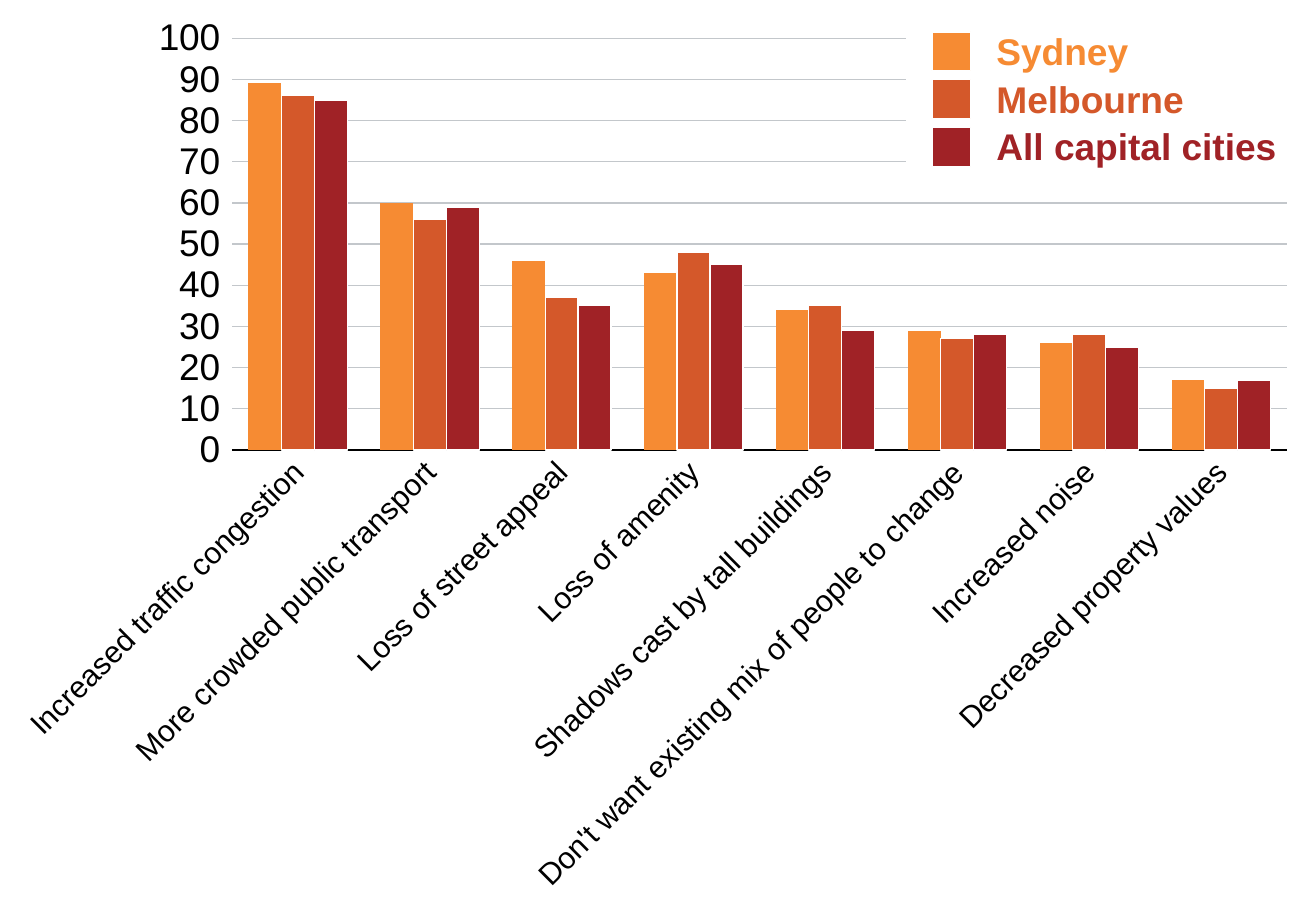
"""Builds a slide with a column chart of residents' concerns in three groups of cities."""
from dataclasses import dataclass

from pptx import Presentation
from pptx.chart.data import CategoryChartData
from pptx.dml.color import RGBColor
from pptx.enum.chart import XL_CHART_TYPE, XL_TICK_MARK
from pptx.enum.shapes import MSO_SHAPE
from pptx.enum.text import MSO_AUTO_SIZE
from pptx.oxml import parse_xml
from pptx.oxml.ns import nsdecls
from pptx.util import Inches, Pt

COLUMNS = XL_CHART_TYPE.COLUMN_CLUSTERED
TICK_NONE = XL_TICK_MARK.NONE
TICK_OUTSIDE = XL_TICK_MARK.OUTSIDE
RECTANGLE = MSO_SHAPE.RECTANGLE
FIT_SHAPE = MSO_AUTO_SIZE.SHAPE_TO_FIT_TEXT


@dataclass(frozen=True)
class Theme:
    """Colours, font and sizes of the slide."""
    font: str = "Arial"
    white: str = "FFFFFF"
    black: str = "000000"
    grid: str = "C3C7CB"
    cities: tuple = ("F68B33", "D4582A", "A02226")
    category_size: int = 18
    value_size: int = 22
    legend_size: int = 22
    line_width: float = 0.75


CONCERNS = {
    "Increased traffic congestion": (89, 86, 85),
    "More crowded public transport": (60, 56, 59),
    "Loss of street appeal": (46, 37, 35),
    "Loss of amenity": (43, 48, 45),
    "Shadows cast by tall buildings": (34, 35, 29),
    "Don't want existing mix of people to change": (29, 27, 28),
    "Increased noise": (26, 28, 25),
    "Decreased property values": (17, 15, 17),
}
CITIES = ("Sydney", "Melbourne", "All capital cities")
PLOT_AREA = {"x": 17.63, "y": 4.2, "w": 80.17, "h": 45.2}
LEGEND_TOP, LEGEND_PITCH = 3.5, 5.25


def paint_line(line, color, width):
    """Give a line a solid colour and a width."""
    line.color.rgb = RGBColor.from_string(color)
    line.width = Pt(width)


def format_font(font, name, size, color, bold=False):
    """Set the typeface, size, colour and weight of a font."""
    font.name = name
    font.size = Pt(size)
    font.bold = bold
    font.color.rgb = RGBColor.from_string(color)


def write_text(frame, text, *, line_spacing=1.0, **style):
    """Write one formatted paragraph in a text frame."""
    para = frame.paragraphs[0]
    para.line_spacing = line_spacing
    span = para.add_run()
    span.text = text
    format_font(span.font, **style)


class Page:
    """Draws elements on one slide, placed in percent of its width and height."""

    def __init__(self, deck, theme):
        """Add a blank slide to the deck."""
        self.deck = deck
        self.theme = theme
        self.slide = deck.slides.add_slide(deck.slide_layouts[6])

    def place(self, left, top, width, height):
        """Turn percentages into slide lengths."""
        across, down = self.deck.slide_width, self.deck.slide_height
        return [round(share * side / 100) for share, side in
                ((left, across), (top, down), (width, across), (height, down))]

    def rectangle(self, area, color):
        """Draw a filled rectangle with a white outline."""
        box = self.slide.shapes.add_shape(RECTANGLE, *self.place(*area))
        box.shadow.inherit = False
        box.fill.solid()
        box.fill.fore_color.rgb = RGBColor.from_string(color)
        paint_line(box.line, self.theme.white, self.theme.line_width)

    def label(self, area, text, color):
        """Draw a bold legend label."""
        frame = self.slide.shapes.add_textbox(*self.place(*area)).text_frame
        frame.word_wrap = True
        frame.auto_size = FIT_SHAPE
        frame.margin_left = frame.margin_right = 0
        frame.margin_top = frame.margin_bottom = 0
        write_text(frame, text, line_spacing=0.85, name=self.theme.font,
                   size=self.theme.legend_size, color=color, bold=True)

    def column_chart(self, area, names, table, plot_area):
        """Draw a clustered column chart with slanted category labels."""
        theme = self.theme
        data = CategoryChartData(number_format="0")
        data.categories = list(table)
        for name, values in zip(names, zip(*table.values())):
            data.add_series(name, values)
        chart = self.slide.shapes.add_chart(COLUMNS, *self.place(*area), data).chart
        chart.has_legend = False
        chart.has_title = False
        format_font(chart.font, theme.font, theme.category_size, theme.black)
        self.style_series(chart.plots[0])
        self.style_axes(chart)
        self.fix_plot_area(chart, plot_area)

    def style_series(self, plot):
        """Colour the columns and outline all but the first series."""
        plot.gap_width = 100
        plot.overlap = 0
        plot.vary_by_categories = False
        for index, (series, color) in enumerate(zip(plot.series, self.theme.cities)):
            series.invert_if_negative = False
            series.format.fill.solid()
            series.format.fill.fore_color.rgb = RGBColor.from_string(color)
            if index:
                paint_line(series.format.line, self.theme.white, self.theme.line_width)
            else:
                series.format.line.fill.background()

    def style_axes(self, chart):
        """Format both axes and the grid lines."""
        theme = self.theme
        category, value = chart.category_axis, chart.value_axis
        category.major_tick_mark = category.minor_tick_mark = TICK_NONE
        paint_line(category.format.line, theme.black, theme.line_width)
        format_font(category.tick_labels.font, theme.font, theme.category_size, theme.black)
        value.minimum_scale, value.maximum_scale, value.major_unit = 0, 100, 10
        value.major_tick_mark, value.minor_tick_mark = TICK_OUTSIDE, TICK_NONE
        value.format.line.fill.background()
        value.has_major_gridlines = True
        paint_line(value.major_gridlines.format.line, theme.grid, theme.line_width)
        value.tick_labels.number_format = "0"
        value.tick_labels.number_format_is_linked = False
        format_font(value.tick_labels.font, theme.font, theme.value_size, theme.black)

    def fix_plot_area(self, chart, plot_area):
        """Fix the inner plot area and slant the category labels."""
        root = chart._chartSpace
        for body in root.xpath(".//c:catAx/c:txPr/a:bodyPr"):
            body.set("rot", "-2700000")
            body.set("vert", "horz")
        plot = root.xpath(".//c:plotArea")[0]
        for layout in plot.xpath("./c:layout"):
            plot.remove(layout)
        modes = "".join(f'<c:{side}Mode val="edge"/>' for side in "xy")
        sizes = "".join(f'<c:{side} val="{share / 100:.4f}"/>'
                        for side, share in plot_area.items())
        plot.insert(0, parse_xml(
            f'<c:layout {nsdecls("c")}><c:manualLayout><c:layoutTarget val="inner"/>'
            f"{modes}{sizes}</c:manualLayout></c:layout>"))


def main():
    """Build and save the deck."""
    theme = Theme()
    deck = Presentation()
    deck.slide_width, deck.slide_height = Inches(10.83), Inches(7.5)
    page = Page(deck, theme)
    page.column_chart((0, 0, 100, 100), CITIES, CONCERNS, PLOT_AREA)
    page.rectangle((68.88, 0.67, 30.19, 20.67), theme.white)
    for row, (city, color) in enumerate(zip(CITIES, theme.cities)):
        top = LEGEND_TOP + row * LEGEND_PITCH
        page.rectangle((70.82, top, 2.95, 4.27), color)
        page.label((75.72, top + 0.33, 22.16, 4.27), city, color)
    deck.save("out.pptx")


if __name__ == "__main__":
    main()
